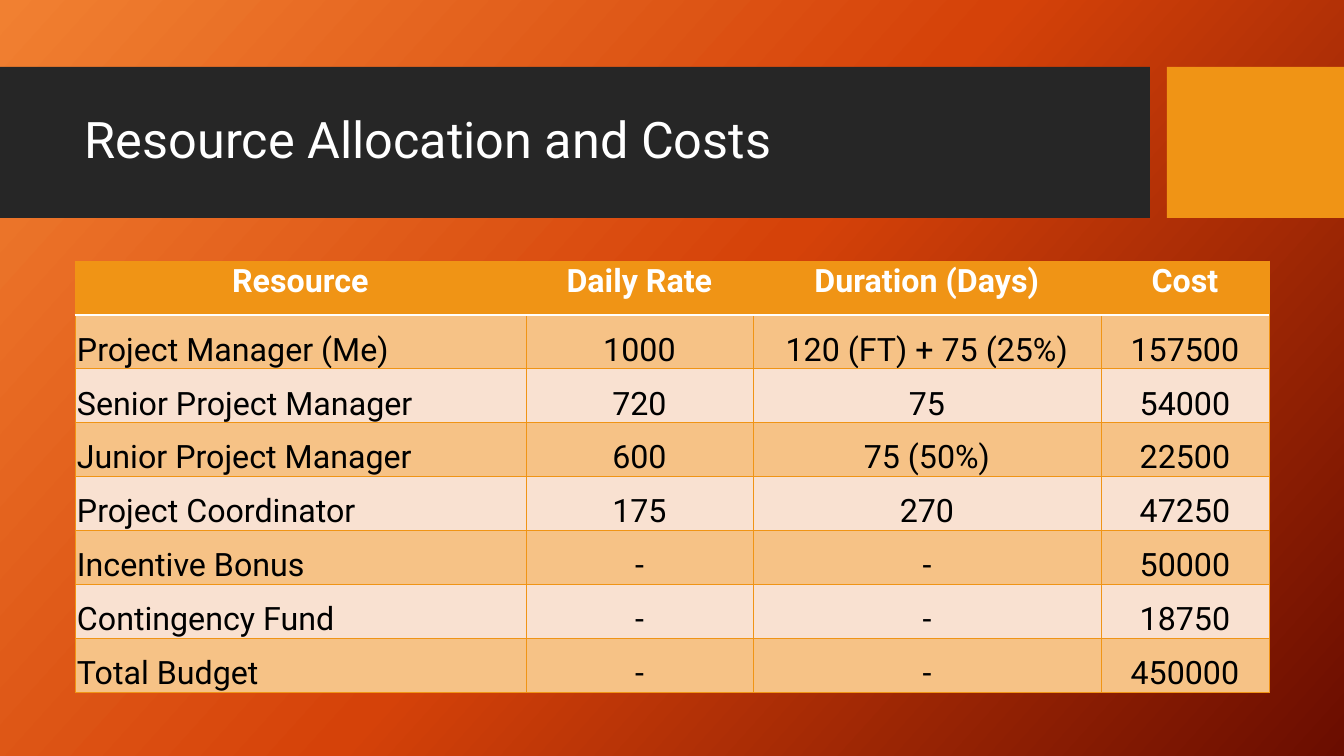
from pptx import Presentation
from pptx import util as u
from pptx.dml.color import RGBColor
from pptx.enum import shapes, text
from pptx.oxml import parse_xml
from pptx.oxml.ns import nsdecls

FONT = "Roboto"
GOLD = "F09415"
WHITE = "FFFFFF"
BANDS = ["F6C286", "F9E1D1"]
COLS = [451, 227, 348, 168]
ROW = 54
ROWS = [
    ["Resource", "Daily Rate", "Duration (Days)", "Cost"],
    ["Project Manager (Me)", "1000", "120 (FT) + 75 (25%)", "157500"],
    ["Senior Project Manager", "720", "75", "54000"],
    ["Junior Project Manager", "600", "75 (50%)", "22500"],
    ["Project Coordinator", "175", "270", "47250"],
    ["Incentive Bonus", "-", "-", "50000"],
    ["Contingency Fund", "-", "-", "18750"],
    ["Total Budget", "-", "-", "450000"],
]


def px(n):
    return u.Emu(round(n * 914400 / 100.8))


def hue(code):
    return RGBColor.from_string(code)


def add_run(para, words, size, color, bold=False):
    run = para.add_run()
    run.text = words
    run.font.name = FONT
    run.font.size = u.Pt(size)
    run.font.bold = bold
    run.font.color.rgb = hue(color)


def paint_back(slide, stops, angle):
    marks = "".join(
        f'<a:gs pos="{pos * 1000}"><a:srgbClr val="{code}"/></a:gs>'
        for pos, code in stops
    )
    back = parse_xml(
        f'<p:bg {nsdecls("p", "a")}><p:bgPr><a:gradFill rotWithShape="1">'
        f'<a:gsLst>{marks}</a:gsLst><a:lin ang="{angle * 60000}" scaled="0"/>'
        "</a:gradFill><a:effectLst/></p:bgPr></p:bg>"
    )
    slide.element.cSld.insert(0, back)


def add_block(slide, left, top, width, height, color):
    block = slide.shapes.add_shape(
        shapes.MSO_SHAPE.RECTANGLE, px(left), px(top), px(width), px(height)
    )
    block.shadow.inherit = False
    block.fill.solid()
    block.fill.fore_color.rgb = hue(color)
    block.line.fill.background()


def add_title(slide, words, left, top, width, height):
    box = slide.shapes.add_textbox(px(left), px(top), px(width), px(height))
    frame = box.text_frame
    frame.word_wrap = True
    frame.vertical_anchor = text.MSO_ANCHOR.MIDDLE
    para = frame.paragraphs[0]
    para.line_spacing = 0.9
    add_run(para, words, 36, WHITE)


def edge_cell(cell, edges):
    props = cell._tc.get_or_add_tcPr()
    for spot, (side, color, width) in enumerate(edges):
        line = parse_xml(
            f'<a:ln{side} {nsdecls("a")} w="{u.Pt(width)}"><a:solidFill>'
            f'<a:srgbClr val="{color}"/></a:solidFill></a:ln{side}>'
        )
        props.insert(spot, line)


def fill_cell(cell, words, row, col):
    head = row == 0
    cell.margin_left = cell.margin_right = cell.margin_top = px(2)
    cell.margin_bottom = 0
    cell.vertical_anchor = text.MSO_ANCHOR.TOP if head else text.MSO_ANCHOR.BOTTOM
    cell.fill.solid()
    cell.fill.fore_color.rgb = hue(GOLD if head else BANDS[(row - 1) % 2])
    rule, plain = (WHITE, 1), (GOLD, 0.75)
    edge_cell(cell, [
        ("L", *plain),
        ("R", *plain),
        ("T", *(rule if row == 1 else plain)),
        ("B", *(rule if head else plain)),
    ])
    para = cell.text_frame.paragraphs[0]
    left = col == 0 and not head
    para.alignment = text.PP_ALIGN.LEFT if left else text.PP_ALIGN.CENTER
    add_run(para, words, 23, WHITE if head else "000000", head)


def add_costs(slide, left, top):
    table = slide.shapes.add_table(
        len(ROWS), len(COLS), px(left), px(top),
        px(sum(COLS)), px(ROW * len(ROWS)),
    ).table
    for col, width in zip(table.columns, COLS):
        col.width = px(width)
    for row, items in enumerate(ROWS):
        table.rows[row].height = px(ROW)
        for col, words in enumerate(items):
            fill_cell(table.cell(row, col), words, row, col)


def main():
    deck = Presentation()
    deck.slide_width, deck.slide_height = px(1344), px(756)
    slide = deck.slides.add_slide(deck.slide_layouts[6])
    paint_back(slide, [(0, "F18031"), (50, "D54209"), (100, "6A0D00")], 42)
    add_block(slide, 0, 67, 1150, 151, "262626")
    add_block(slide, 1167, 67, 177, 151, GOLD)
    add_title(slide, "Resource Allocation and Costs", 75, 83, 1059, 119)
    add_costs(slide, 75, 261)
    deck.save("out.pptx")


if __name__ == "__main__":
    main()
